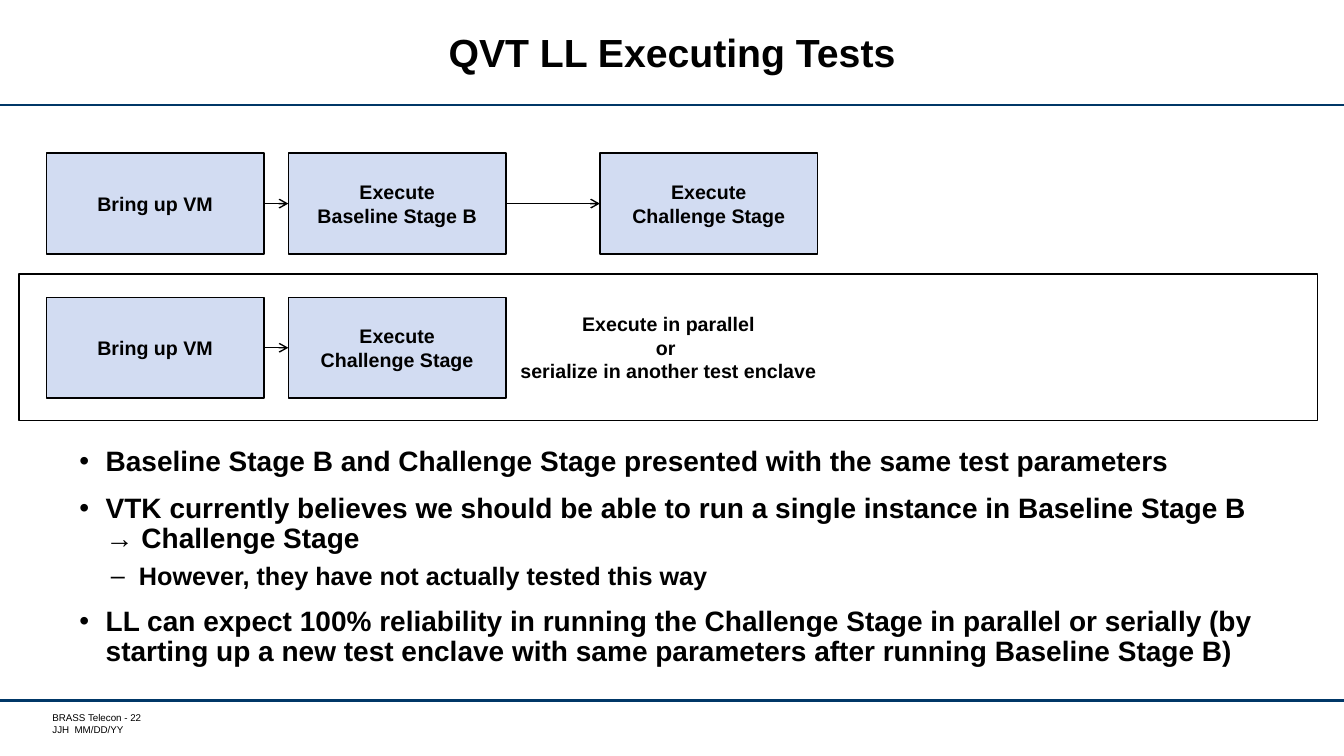
from lxml.etree import SubElement
from pptx import Presentation
from pptx.dml.color import RGBColor
from pptx.enum.shapes import MSO_CONNECTOR, MSO_SHAPE
from pptx.enum.text import MSO_ANCHOR, PP_ALIGN
from pptx.oxml.ns import qn
from pptx.util import Inches, Pt

deck = Presentation()
deck.slide_width, deck.slide_height = Inches(13.33), Inches(7.5)
slide = deck.slides.add_slide(deck.slide_layouts[5])
shapes = slide.shapes

BLACK, NAVY, PALE = "000000", "003767", "D2DCF2"
WIDE, HIGH = 2.16, 1
COLS, ROWS = (0.46, 2.86, 5.95), (1.52, 2.95)


def style(frame, size, bold=True, align=PP_ALIGN.CENTER):
    """Format every paragraph and run of a text frame."""
    frame.word_wrap = True
    for para in frame.paragraphs:
        para.alignment = align
        for run in para.runs:
            font = run.font
            font.name, font.size, font.bold = "Arial", Pt(size), bold
            font.color.rgb = RGBColor.from_string(BLACK)


def rule(start, end, color, width):
    """Draw a straight line without a shadow and return it."""
    line = shapes.add_connector(MSO_CONNECTOR.STRAIGHT,
                                *[Inches(n) for n in (*start, *end)])
    line.line.color.rgb = RGBColor.from_string(color)
    line.line.width = Pt(width)
    SubElement(line._element.spPr, qn("a:effectLst"))
    return line


# Title, page rules and footer
title = shapes.title
title.left, title.top = Inches(1.37), Inches(0.11)
title.width, title.height = Inches(10.59), Inches(0.89)
frame = title.text_frame
frame.text = "QVT LL Executing Tests"
frame.vertical_anchor = MSO_ANCHOR.MIDDLE
frame.paragraphs[0].line_spacing = Pt(28)
style(frame, 28)

for y in (1.04, 6.95):
    rule((0, y), (13.33, y), NAVY, 1.75)

foot = shapes.add_textbox(Inches(0.47), Inches(7.06), Inches(1.59), Inches(0.24))
frame = foot.text_frame
frame.margin_left = Inches(0.05)
frame.margin_right = frame.margin_top = frame.margin_bottom = 0
frame.text = "BRASS Telecon - 22\nJJH  MM/DD/YY"
style(frame, 7, False, PP_ALIGN.LEFT)

# Enclave frame first, then the stages on top of it
boxes = [(0.19, 2.72, 12.88, 1.45, None,
          "Execute in parallel\nor \nserialize in another test enclave")]
flows = [("Bring up VM", "Execute\nBaseline Stage B", "Execute\nChallenge Stage"),
         ("Bring up VM", "Execute\nChallenge Stage")]
for top, flow in zip(ROWS, flows):
    boxes += [(left, top, WIDE, HIGH, PALE, text) for left, text in zip(COLS, flow)]

for left, top, wide, high, fill, text in boxes:
    box = shapes.add_shape(MSO_SHAPE.RECTANGLE, Inches(left), Inches(top),
                           Inches(wide), Inches(high))
    box.shadow.inherit = False
    box.line.color.rgb = RGBColor.from_string(BLACK)
    box.line.width = Pt(1)
    if fill:
        box.fill.solid()
        box.fill.fore_color.rgb = RGBColor.from_string(fill)
    else:
        box.fill.background()
    box.text_frame.text = text
    box.text_frame.vertical_anchor = MSO_ANCHOR.MIDDLE
    style(box.text_frame, 14)

# Arrows join neighbouring stages
for top, flow in zip(ROWS, flows):
    mid = top + HIGH / 2
    for left, right in zip(COLS, COLS[1:len(flow)]):
        arrow = rule((left + WIDE, mid), (right, mid), BLACK, 1)
        SubElement(arrow.line._get_or_add_ln(), qn("a:tailEnd"), type="arrow")

# Bullets: level and text
notes = [
    (0, "Baseline Stage B and Challenge Stage presented with the same test parameters"),
    (0, "VTK currently believes we should be able to run a single instance in "
        "Baseline Stage B → Challenge Stage"),
    (1, "However, they have not actually tested this way"),
    (0, "LL can expect 100% reliability in running the Challenge Stage in parallel or "
        "serially (by starting up a new test enclave with same parameters after "
        "running Baseline Stage B)"),
]
# Size, space before, margin, hanging indent and mark of each level
levels = [(20, 12, 0.26, 0.26, "•"), (18, 6, 0.59, 0.28, "–")]
body = shapes.add_textbox(Inches(0.69), Inches(4.39), Inches(11.94), Inches(2.3))
frame = body.text_frame
frame.text = "\n".join(text for level, text in notes)
style(frame, 20, align=PP_ALIGN.LEFT)
for para, (level, text) in zip(frame.paragraphs, notes):
    size, before, margin, hang, mark = levels[level]
    para.level = level
    para.line_spacing, para.space_before = 0.9, Pt(before)
    para.runs[0].font.size = Pt(size)
    props = para._p.get_or_add_pPr()
    props.set("marL", str(Inches(margin)))
    props.set("indent", str(-Inches(hang)))
    SubElement(props, qn("a:buFont"), typeface="Arial")
    SubElement(props, qn("a:buChar"), char=mark)

deck.save("out.pptx")
